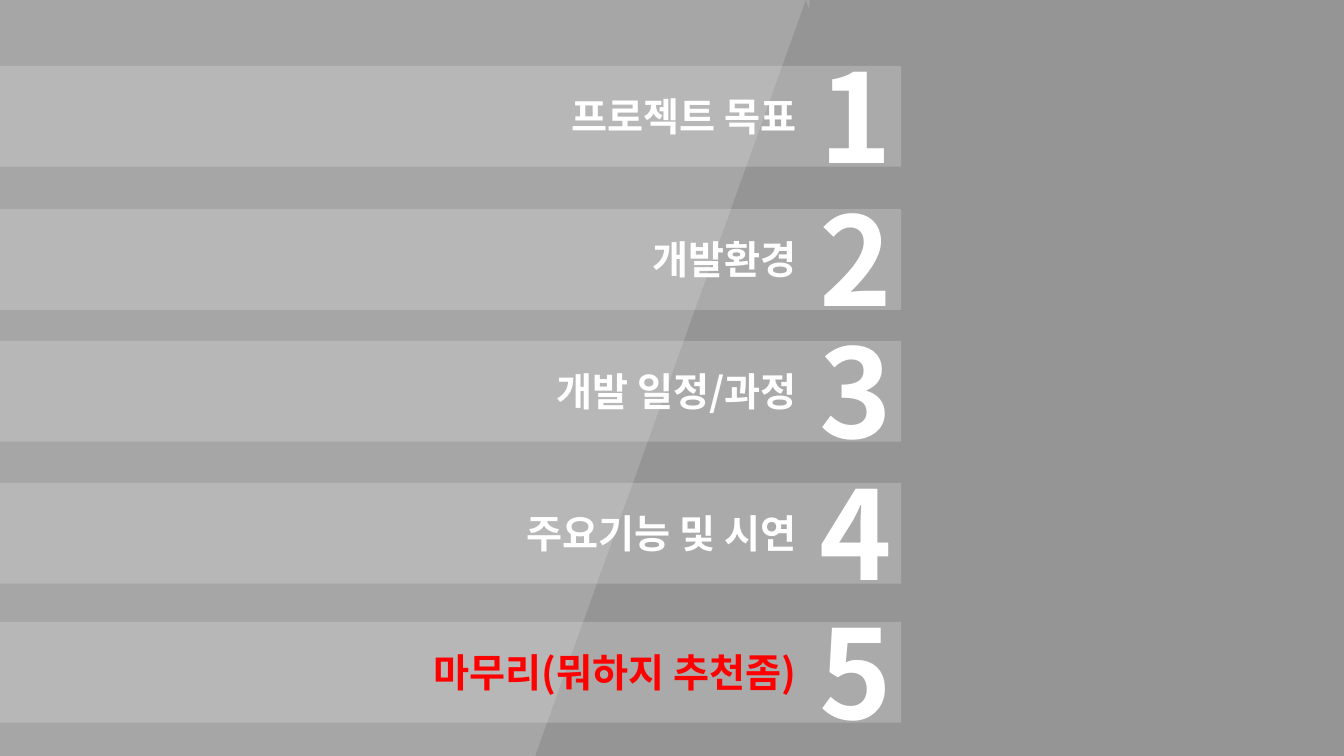
from pptx import Presentation
from pptx.dml.color import RGBColor
from pptx.enum.shapes import MSO_SHAPE as Shape
from pptx.enum.text import MSO_AUTO_SIZE as AutoSize, PP_ALIGN as Align
from pptx.oxml.ns import qn
from pptx.util import Cm, Pt
from lxml.etree import SubElement

COLOURS = {"background": "A6A6A6", "shade": "959595", "white": "FFFFFF", "red": "FF0000"}
AGENDA = [
    (1.66, "프로젝트 목표", "white"),
    (5.27, "개발환경", "white"),
    (8.59, "개발 일정/과정", "white"),
    (12.17, "주요기능 및 시연", "white"),
    (15.67, "마무리(뭐하지 추천좀)", "red"),
]


class SlideBuilder:
    """Holds the agenda style and the slide being built."""

    font_name = "Noto Sans CJK KR"

    def __init__(self, presentation):
        """Add a blank slide with the background colour."""
        self.slide = presentation.slides.add_slide(presentation.slide_layouts[6])
        self.fill(self.slide.background.fill, "background")

    def fill(self, fill, colour):
        """Apply a solid named colour to a fill."""
        fill.solid()
        fill.fore_color.rgb = RGBColor.from_string(COLOURS[colour])

    def block(self, kind, box, colour, opacity=100, parent=None):
        """Add a flat shape, optionally translucent or inside a group."""
        shapes = (parent or self.slide).shapes
        shape = shapes.add_shape(kind, *map(Cm, box))
        shape.shadow.inherit = False
        shape.line.fill.background()
        self.fill(shape.fill, colour)
        if opacity < 100:
            colour_element = next(shape._element.spPr.iter(qn("a:srgbClr")))
            SubElement(colour_element, qn("a:alpha"), val=str(opacity * 1000))
        return shape

    def text(self, box, words, size, colour="white", align=Align.LEFT):
        """Add a bold single-line text box."""
        shape = self.slide.shapes.add_textbox(*map(Cm, box))
        frame = shape.text_frame
        frame.word_wrap = True
        frame.auto_size = AutoSize.SHAPE_TO_FIT_TEXT
        paragraph = frame.paragraphs[0]
        paragraph.alignment = align
        run = paragraph.add_run()
        run.text = words
        for name, value in {"name": self.font_name, "size": Pt(size), "bold": True}.items():
            setattr(run.font, name, value)
        run.font.color.rgb = RGBColor.from_string(COLOURS[colour])
        properties = run._r.get_or_add_rPr()
        SubElement(properties, qn("a:ea"), typeface=self.font_name)

    def backdrop(self):
        """Add the grouped diagonal shade on the right."""
        group = self.slide.shapes.add_group_shape()
        self.block(Shape.ISOSCELES_TRIANGLE, (13.49, 0, 13.64, 19.05), "shade", parent=group)
        self.block(Shape.RECTANGLE, (20.4, 0, 13.47, 19.05), "shade", parent=group)

    def agenda_item(self, number, top, words, colour):
        """Add a number, its translucent bar and its label."""
        self.text((20.4, top - 0.77, 1.57, 4.01), str(number), 88)
        self.block(Shape.RECTANGLE, (0, top, 22.71, 2.54), "white", opacity=20)
        self.text((2.08, top + 0.54, 18.24, 1.45), words, 28, colour, Align.RIGHT)


def main():
    """Build and save the agenda slide."""
    presentation = Presentation()
    presentation.slide_width = Cm(33.87)
    presentation.slide_height = Cm(19.05)
    builder = SlideBuilder(presentation)
    builder.backdrop()
    for number, item in reversed(list(enumerate(AGENDA, 1))):
        builder.agenda_item(number, *item)
    presentation.save("out.pptx")


if __name__ == "__main__":
    main()
